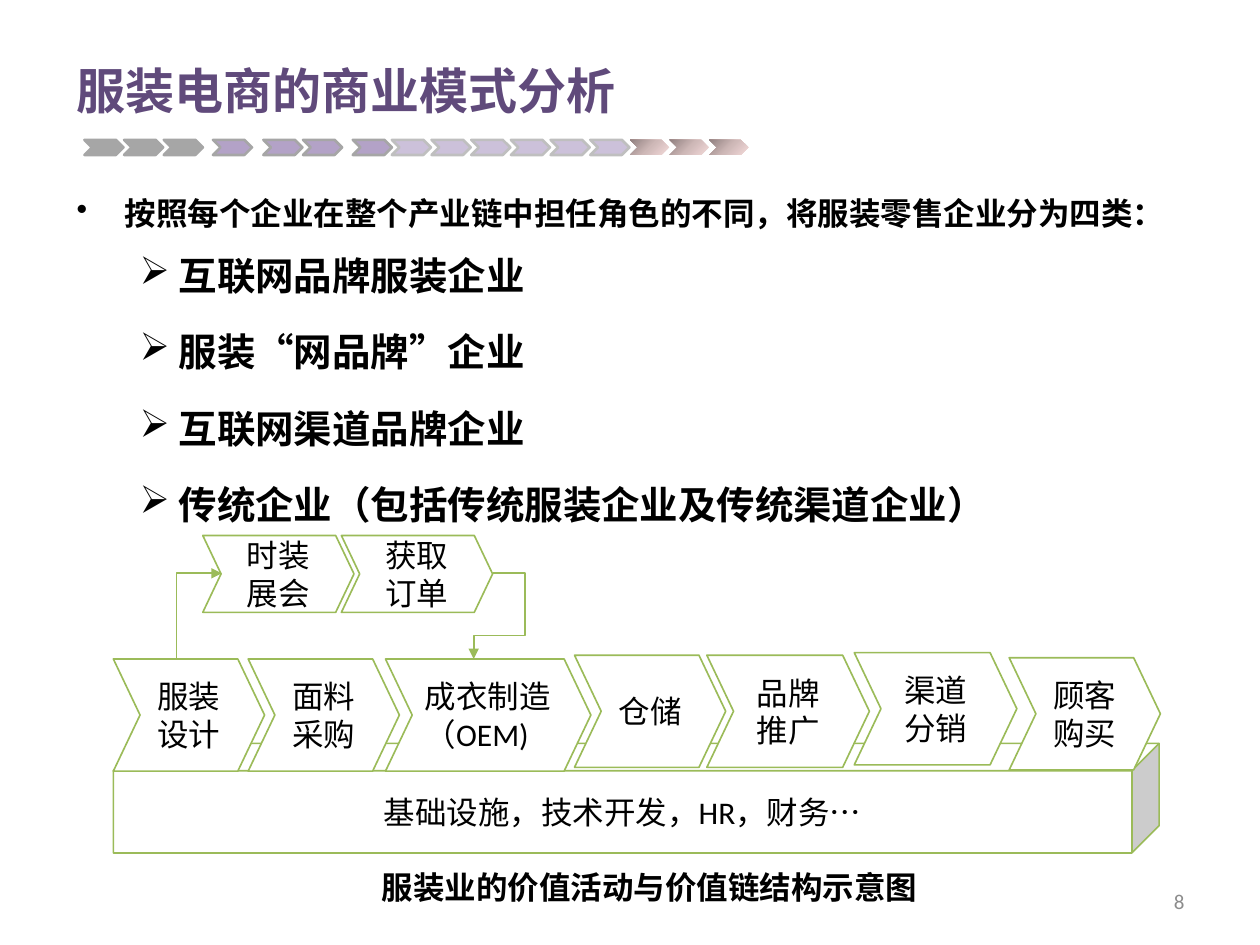
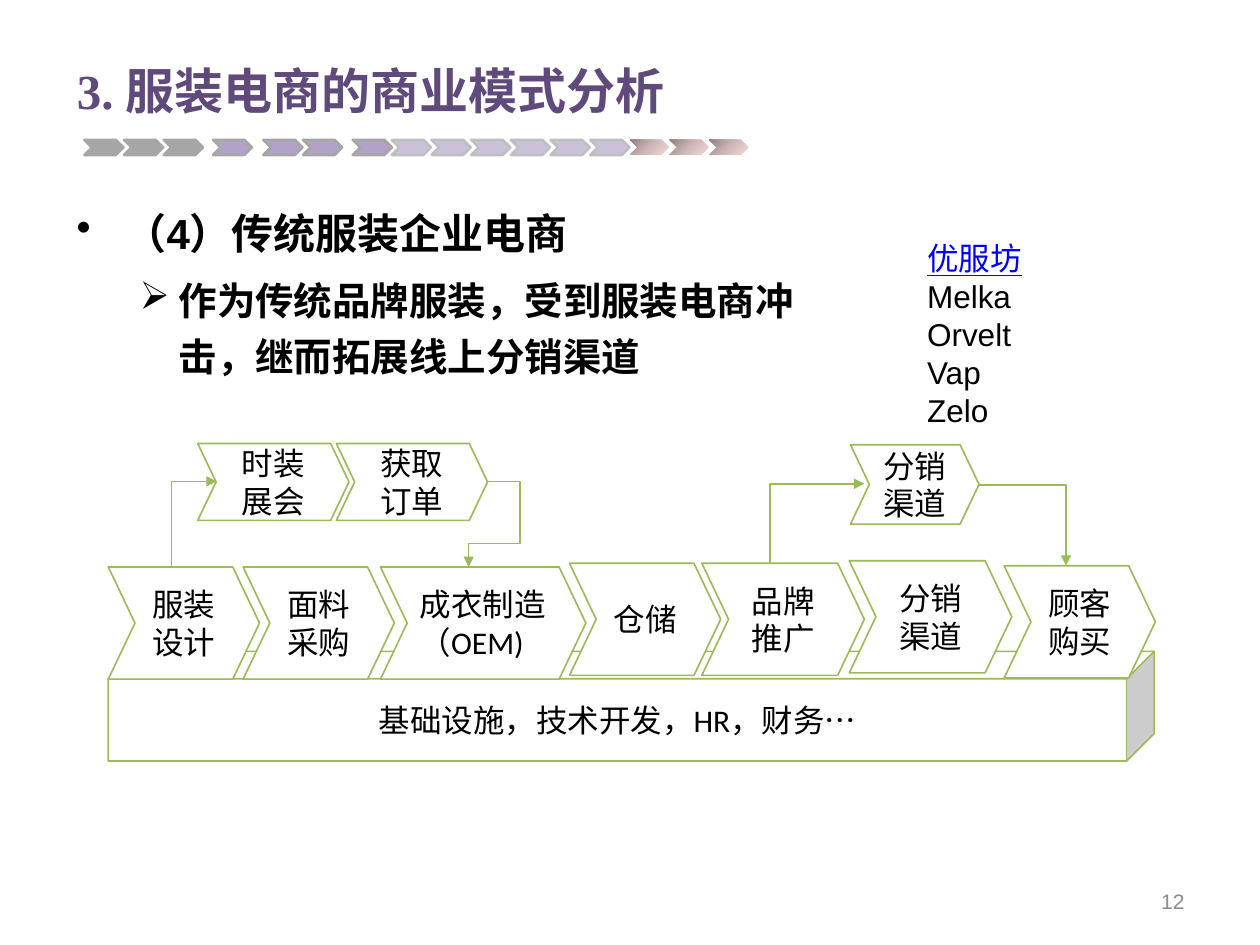
from pptx import Presentation
from pptx.dml.color import RGBColor
from pptx.enum.shapes import MSO_CONNECTOR, MSO_SHAPE
from pptx.enum.text import MSO_ANCHOR, MSO_AUTO_SIZE, PP_ALIGN
from pptx.oxml import parse_xml
from pptx.oxml.ns import nsdecls, qn
from pptx.util import Inches, Pt

CHEVRON, CUBE = MSO_SHAPE.CHEVRON, MSO_SHAPE.CUBE
ELBOW = MSO_CONNECTOR.ELBOW
LEFT, MID, RIGHT = PP_ALIGN.LEFT, PP_ALIGN.CENTER, PP_ALIGN.RIGHT
TOP, CENTRE = MSO_ANCHOR.TOP, MSO_ANCHOR.MIDDLE
FIXED = MSO_AUTO_SIZE.NONE

PURPLE, GREEN, WHITE, BLACK = "604A7B", "9BBB59", "FFFFFF", "000000"
GREY, LILAC, PALE, SILVER = "A6A6A6", "B3A2C7", "CCC1DA", "BFBFBF"
BLUE, DIM = "0000FF", "8C8C8C"

BAND = [
    (0.67, 3, GREY, GREY),
    (1.69, 1, LILAC, GREY),
    (2.09, 2, LILAC, GREY),
    (2.8, 1, LILAC, GREY),
    (3.11, 6, PALE, SILVER),
    (5.0, 3, None, None),
]
STOPS = [(0, "918181"), (50, "CEB8B7"), (100, "F4DADA")]
GLOW = (
    f'<a:gradFill {nsdecls("a")} rotWithShape="1"><a:gsLst>'
    + "".join(f'<a:gs pos="{at * 1000}"><a:srgbClr val="{hue}"/></a:gs>' for at, hue in STOPS)
    + '</a:gsLst><a:path path="circle"><a:fillToRect r="100000" b="100000"/></a:path></a:gradFill>'
)

HEAD = {"size": Pt(28), "name": "Times New Roman", "bold": True}
ITEM = {"size": Pt(22), "name": "Courier New", "bold": True}
LABEL = {"size": Pt(18), "name": "Calibri"}
PLAIN = {"size": Pt(18), "name": "Arial"}
BOLD = {"size": Pt(18), "name": "Arial", "bold": True}
LEAD_GAP = {"line_spacing": Pt(32), "space_before": Pt(6)}
ITEM_GAP = {"line_spacing": 1.2, "space_before": Pt(6), "space_after": Pt(6)}
FLOW = {"word_wrap": True, "auto_size": FIXED, "vertical_anchor": TOP}
LOOSE = {"word_wrap": False, "vertical_anchor": TOP}
INNER = {"word_wrap": True, "auto_size": FIXED, "vertical_anchor": CENTRE}

STEPS = [
    ("design", "服装设计", 0.9, 5.23, 1.2, 0.89),
    ("fabric", "面料采购", 1.97, 5.23, 1.2, 0.89),
    ("sewing", "成衣制造（OEM)", 3.06, 5.23, 1.63, 0.89),
    ("store", "仓储", 4.56, 5.2, 1.2, 0.89),
    ("promo", "品牌推广", 5.61, 5.2, 1.29, 0.89),
    ("sales", "渠道分销", 6.78, 5.18, 1.29, 0.89),
    ("buyer", "顾客购买", 8.01, 5.22, 1.2, 0.89),
    ("fair", "时装展会", 1.61, 4.25, 1.2, 0.61),
    ("order", "获取订单", 2.71, 4.25, 1.2, 0.61),
]
TURN = {"rot": "5400000", "flipH": "1", "flipV": "1"}
LINKS = [
    ("design", 0, "fair", 1, (1.24, 4.71, 0.68, 0.36), TURN, "bentConnector2", []),
    ("order", 3, "sewing", 0, (3.76, 4.55, 0.15, 0.68), {"flipH": "1"},
     "bentConnector4", [-171400, 72500]),
]
OUTLET = ("outlet", "分销\n渠道", 6.79, 4.26, 1.02, 0.63)
DETOUR = [
    ("promo", 0, "outlet", 1, (6.21, 4.51, 0.63, 0.75), TURN, "bentConnector2", []),
    ("outlet", 3, "buyer", 0, (7.81, 4.58, 0.69, 0.64), {}, "bentConnector2", []),
]

PAGES = [
    {
        "title": "服装电商的商业模式分析", "page": "8", "font": "Calibri",
        "body": (0.51, 1.35, 8.98, 2.96), "size": 18,
        "lead": "按照每个企业在整个产业链中担任角色的不同，将服装零售企业分为四类：",
        "items": ["互联网品牌服装企业", "服装“网品牌”企业", "互联网渠道品牌企业",
                  "传统企业（包括传统服装企业及传统渠道企业）"],
        "shift": (0, 0), "steps": STEPS, "links": LINKS, "swap": {},
        "notes": [((2.93, 6.84, 4.52, 0.4), [
            (["服装业的价值活动与价值链结构示意图"], BOLD, BLACK)])],
    },
    {
        "title": "3. 服装电商的商业模式分析", "page": "12", "font": "Arial",
        "body": (0.51, 1.55, 5.98, 1.57), "size": 24,
        "lead": "（4）传统服装企业电商",
        "items": ["作为传统品牌服装，受到服装电商冲击，继而拓展线上分销渠道"],
        "shift": (-0.04, -0.73), "steps": STEPS + [OUTLET], "links": LINKS + DETOUR,
        "swap": {"sales": "分销渠道"},
        "notes": [((7.26, 1.85, 0.97, 1.62), [
            (["优服坊"], {**PLAIN, "underline": True}, BLUE),
            (["Melka", "Orvelt", "Vap", "Zelo"], PLAIN, BLACK)])],
    },
]


def paint(fill, hue):
    fill.solid()
    fill.fore_color.rgb = RGBColor.from_string(hue)


def write(shape, lines, font, hue=BLACK, para={}, frame=INNER, bullet=None):
    box = shape.text_frame
    for key, value in frame.items():
        setattr(box, key, value)
    for line in lines:
        row = box.add_paragraph() if box.text else box.paragraphs[0]
        run = row.add_run()
        run.text = line
        for key, value in para.items():
            setattr(row, key, value)
        for key, value in font.items():
            setattr(run.font, key, value)
        paint(run.font.fill, hue)
        if bullet:
            mark, left, hang = bullet
            props = row._p.get_or_add_pPr()
            props.set("marL", str(Inches(left)))
            props.set("indent", str(-Inches(hang)))
            props.append(parse_xml(f'<a:buChar {nsdecls("a")} char="{mark}"/>'))


deck = Presentation()
deck.slide_width, deck.slide_height = Inches(10), Inches(7.5)

for page in PAGES:
    slide = deck.slides.add_slide(deck.slide_layouts[5])
    shapes = slide.shapes

    for left, count, hue, edge in BAND:
        for k in range(count):
            tick = shapes.add_shape(
                CHEVRON, Inches(left + k * 0.315), Inches(1.11), Inches(0.31), Inches(0.12))
            tick.shadow.inherit = False
            if hue:
                paint(tick.fill, hue)
                paint(tick.line.fill, edge)
                tick.line.width = Pt(1.5)
            else:
                tick.line.fill.background()
                tick._element.spPr.find(qn("a:prstGeom")).addnext(parse_xml(GLOW))

    title = shapes.title
    title.left, title.top, title.width, title.height = map(Inches, (0.51, 0.36, 8.98, 0.71))
    write(title, [page["title"]], HEAD, PURPLE, {"alignment": LEFT})

    body = shapes.add_textbox(*map(Inches, page["body"]))
    write(body, [page["lead"]], {**BOLD, "size": Pt(page["size"])}, BLACK,
          LEAD_GAP, FLOW, ("•", 0.38, 0.38))
    write(body, page["items"], ITEM, BLACK, ITEM_GAP, FLOW, ("➢", 0.81, 0.31))

    foot = shapes.add_textbox(*map(Inches, (8.94, 6.95, 0.56, 0.4)))
    write(foot, [page["page"]], {"size": Pt(12), "name": page["font"]}, DIM, {"alignment": RIGHT})

    dx, dy = page["shift"]
    base = ("base", "基础设施，技术开发，HR，财务…", 0.9, 5.9, 8.3, 0.87)
    nodes = {}
    for name, text, left, top, wide, high in [base] + page["steps"]:
        kind = CUBE if name == "base" else CHEVRON
        node = shapes.add_shape(
            kind, Inches(left + dx), Inches(top + dy), Inches(wide), Inches(high))
        if kind == CHEVRON:
            node.adjustments[0] = 0.238
        node.shadow.inherit = False
        paint(node.fill, WHITE)
        paint(node.line.fill, GREEN)
        node.line.width = Pt(0.94)
        side = LEFT if name == "sewing" else MID
        write(node, page["swap"].get(name, text).split("\n"), LABEL, BLACK, {"alignment": side})
        nodes[name] = node

    for start, out, end, into, (left, top, wide, high), turn, kind, bends in page["links"]:
        link = shapes.add_connector(ELBOW, 0, 0, 0, 0)
        link.begin_connect(nodes[start], out)
        link.end_connect(nodes[end], into)
        link.left, link.top = Inches(left + dx), Inches(top + dy)
        link.width, link.height = Inches(wide), Inches(high)
        props = link._element.spPr
        frame = props.find(qn("a:xfrm"))
        for key in ("rot", "flipH", "flipV"):
            frame.set(key, turn.get(key, "0"))
        shape = props.find(qn("a:prstGeom"))
        shape.set("prst", kind)
        guides = "".join(
            f'<a:gd name="adj{k}" fmla="val {bend}"/>' for k, bend in enumerate(bends, 1))
        for old in list(shape):
            shape.remove(old)
        shape.append(parse_xml(f'<a:avLst {nsdecls("a")}>{guides}</a:avLst>'))
        paint(link.line.fill, GREEN)
        link.line.width = Pt(0.94)
        link.line._get_or_add_ln().append(
            parse_xml(f'<a:tailEnd {nsdecls("a")} type="triangle"/>'))
        props.append(parse_xml(f'<a:effectLst {nsdecls("a")}/>'))

    for spot, parts in page["notes"]:
        note = shapes.add_textbox(*map(Inches, spot))
        for lines, font, hue in parts:
            write(note, lines, font, hue, {}, LOOSE)

deck.save("out.pptx")
